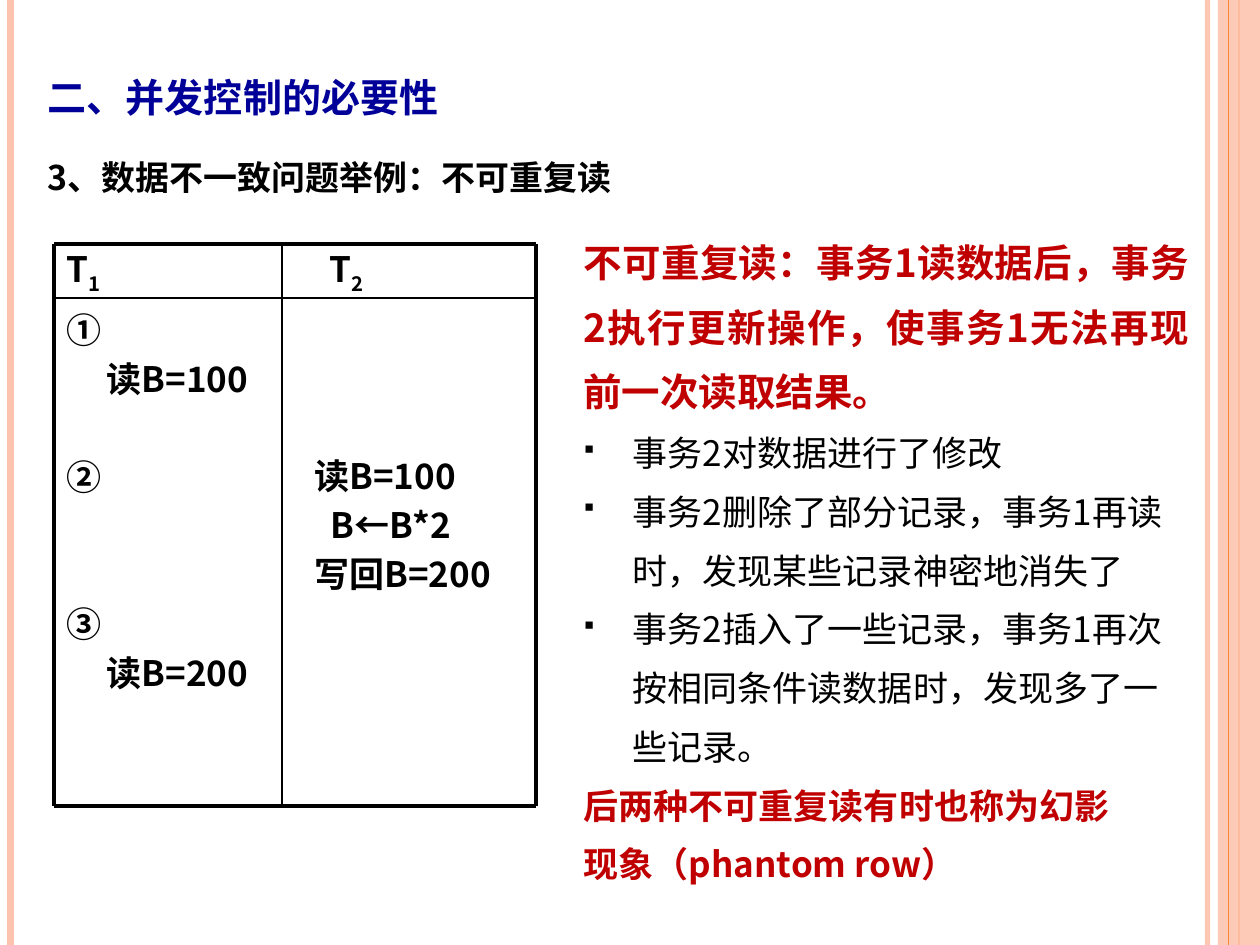
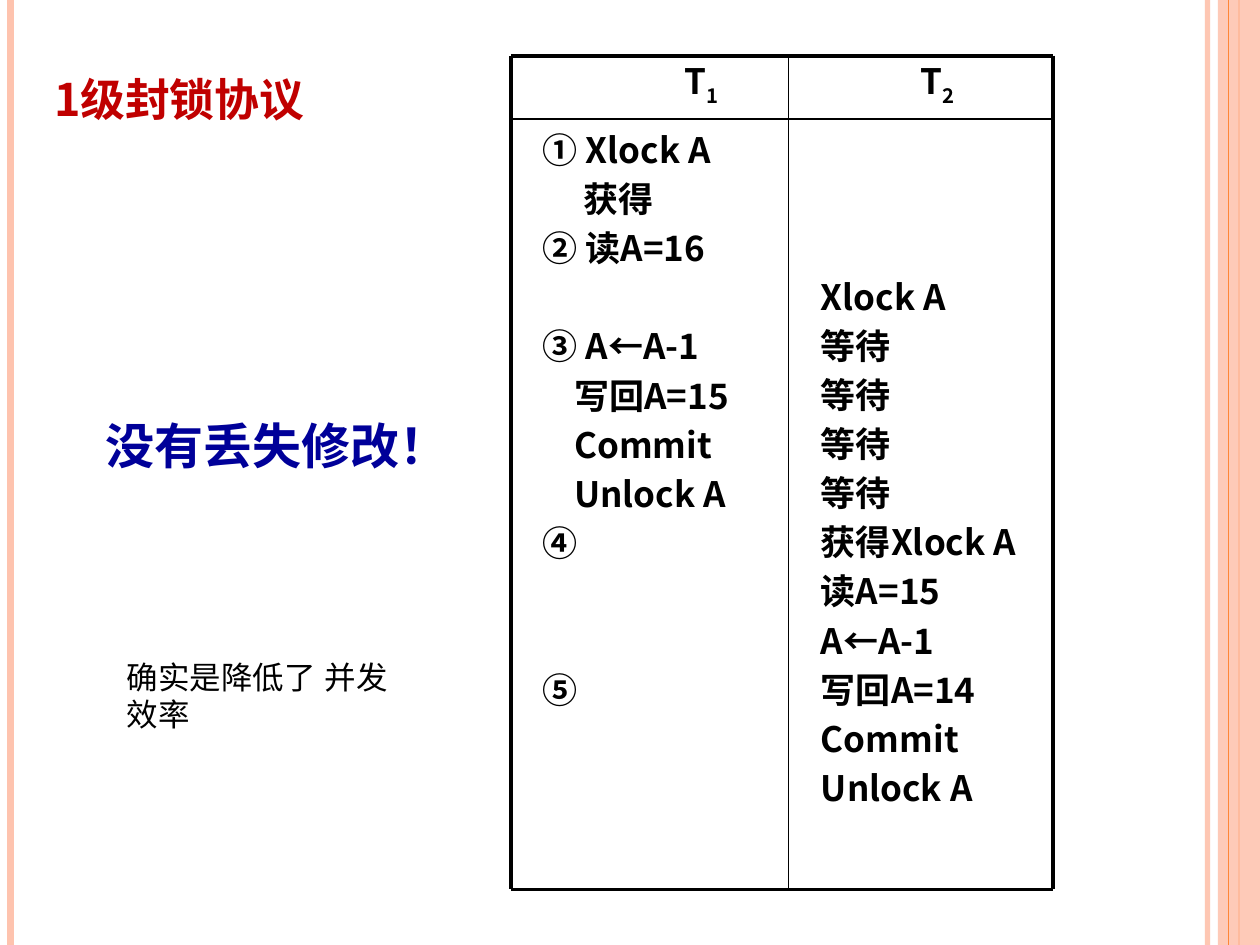
from lxml.etree import SubElement
from pptx import Presentation
from pptx.dml.color import RGBColor
from pptx.enum.shapes import MSO_CONNECTOR, MSO_SHAPE
from pptx.enum.text import MSO_ANCHOR, PP_ALIGN
from pptx.oxml.ns import qn
from pptx.util import Pt

PEACH = RGBColor(0xFE, 0xC3, 0xAE)
ORANGE = RGBColor(0xFE, 0x86, 0x37)
NAVY = RGBColor(0x00, 0x00, 0x99)
RED = RGBColor(0xC0, 0x00, 0x00)
BLACK = RGBColor(0x00, 0x00, 0x00)
CJK_FONT = "Noto Sans CJK SC"

WIDTH, HEIGHT = 720, 540
STEP_HEIGHT = 28
OUTER, INNER = 2.25, 1

READ_STEPS = [
    {0: ("①", 7), 1: ("读B=100", 30), 3: ("②", 7), 6: ("③", 7), 7: ("读B=200", 30)},
    {3: ("读B=100", 18.5), 4: ("B←B*2", 28), 5: ("写回B=200", 18.5)},
]
LOCK_STEPS = [
    {0: ("① Xlock A", 18), 1: ("获得", 41), 2: ("② 读A=16", 18), 4: ("③ A←A-1", 18),
     5: ("写回A=15", 36), 6: ("Commit", 36), 7: ("Unlock A", 36), 8: ("④", 18), 11: ("⑤", 18)},
    {step: (text, 18.5) for step, text in enumerate(
        ["Xlock A", "等待", "等待", "等待", "等待", "获得Xlock A", "读A=15", "A←A-1",
         "写回A=14", "Commit", "Unlock A"], 3)},
]
CHANGE_CASES = [
    "事务2对数据进行了修改",
    "事务2删除了部分记录，事务1再读时，发现某些记录神密地消失了",
    "事务2插入了一些记录，事务1再次按相同条件读数据时，发现多了一些记录。",
]


def style_run(run, size, color, bold=True, name=CJK_FONT, small_caps=False):
    """Set the size, colour and typeface of a run."""
    font = run.font
    font.size, font.bold, font.name = Pt(size), bold, name
    font.color.rgb = color
    properties = run._r.get_or_add_rPr()
    SubElement(properties, qn("a:ea")).set("typeface", name)
    if small_caps:
        properties.set("cap", "small")


def set_alpha(properties, percent):
    """Make the first solid colour of a shape partly transparent."""
    color = properties.find(".//" + qn("a:srgbClr"))
    SubElement(color, qn("a:alpha")).set("val", str(percent * 1000))


def add_text(slide, box, anchor=MSO_ANCHOR.TOP, wrap=True):
    """Add an empty text box and return its frame."""
    frame = slide.shapes.add_textbox(*map(Pt, box)).text_frame
    frame.word_wrap, frame.vertical_anchor = wrap, anchor
    return frame


def add_rule(slide, start, end, color, weight, alpha=100):
    """Draw a straight line between two points."""
    rule = slide.shapes.add_connector(MSO_CONNECTOR.STRAIGHT, *map(Pt, (*start, *end)))
    rule.line.color.rgb, rule.line.width = color, Pt(weight)
    properties = rule._element.spPr
    SubElement(properties, qn("a:effectLst"))
    if alpha < 100:
        set_alpha(properties, alpha)


def add_stripe(slide, x, color, weight, alpha=100):
    """Draw a full-height vertical line."""
    add_rule(slide, (x, 0), (x, HEIGHT), color, weight, alpha)


def add_side_bands(slide):
    """Draw the bands on both edges of every slide."""
    add_stripe(slide, 690, PEACH, 3, 93)
    add_stripe(slide, 6, PEACH, 4.5)
    add_stripe(slide, 708, ORANGE, 1.5)
    band = slide.shapes.add_shape(MSO_SHAPE.RECTANGLE, Pt(696), 0, Pt(WIDTH - 696), Pt(HEIGHT))
    band.shadow.inherit = False
    band.fill.solid()
    band.fill.fore_color.rgb = PEACH
    band.line.fill.background()
    set_alpha(band._element.spPr, 87)
    add_stripe(slide, 702, ORANGE, 0.75)


def add_title(slide, box, lines, line_spacing=1.0):
    """Write a title whose lines each have a size and colour."""
    paragraph = add_text(slide, box, MSO_ANCHOR.MIDDLE).paragraphs[0]
    paragraph.text = "\v".join(text for text, _, _ in lines)
    paragraph.line_spacing = line_spacing
    for run, (_, size, color) in zip(paragraph.runs, lines):
        style_run(run, size, color, small_caps=True)


def add_steps(slide, box, steps):
    """Write the steps of one transaction, each on its own line of the schedule."""
    left, top, width, height = box
    lead = min(steps) * STEP_HEIGHT
    frame = add_text(slide, (left, top + lead, width, height - lead))
    frame.margin_left = frame.margin_right = frame.margin_bottom = 0
    frame.margin_top = Pt(1.5)
    frame.text = "\n".join(text for text, _ in steps.values())
    previous = min(steps) - 1
    for paragraph, (step, (_, offset)) in zip(frame.paragraphs, steps.items()):
        paragraph._p.get_or_add_pPr().set("marL", str(Pt(offset)))
        paragraph.line_spacing = Pt(STEP_HEIGHT)
        paragraph.space_before = Pt(STEP_HEIGHT * (step - previous - 1))
        style_run(paragraph.runs[0], 20, BLACK)
        previous = step
    return frame


def add_schedule(slide, box, split, header_height, header_offsets, steps):
    """Draw the timetable of the transactions T1 and T2."""
    left, top, width, height = box
    right, bottom, body_top = left + width, top + height, top + header_height
    columns = [(left, split), (left + split, width - split)]
    for number, ((x, span), offset) in enumerate(zip(columns, header_offsets)):
        add_steps(slide, (x, body_top, span, bottom - body_top), steps[number])
        header = add_steps(slide, (x, top, span, header_height), {0: ("T", offset)})
        index = header.paragraphs[0].add_run()
        index.text = str(number + 1)
        style_run(index, 20, BLACK)
        index.font._element.set("baseline", "-25000")
    for y, weight in ((top, OUTER), (body_top, INNER), (bottom, OUTER)):
        add_rule(slide, (left, y), (right, y), BLACK, weight)
    for x, weight in ((left, OUTER), (left + split, INNER), (right, OUTER)):
        add_rule(slide, (x, top), (x, bottom), BLACK, weight)


def add_square_bullet(paragraph):
    """Give a paragraph a hanging black square."""
    properties = paragraph._p.get_or_add_pPr()
    properties.set("marL", str(Pt(28)))
    properties.set("indent", str(-Pt(28)))
    color = SubElement(properties, qn("a:buClr"))
    SubElement(color, qn("a:srgbClr")).set("val", str(BLACK))
    SubElement(properties, qn("a:buSzPct")).set("val", "70000")
    SubElement(properties, qn("a:buFont")).set("typeface", "Wingdings")
    SubElement(properties, qn("a:buChar")).set("char", "§")


def add_explanation(slide, box):
    """Explain the non-repeatable read and its three cases."""
    frame = add_text(slide, box)
    definition = "不可重复读：事务1读数据后，事务2执行更新操作，使事务1无法再现前一次读取结果。"
    phantom = ["后两种不可重复读有时也称为幻影", "现象（phantom row）"]
    frame.text = "\n".join([definition, *CHANGE_CASES, *phantom])
    for index, paragraph in enumerate(frame.paragraphs):
        paragraph.line_spacing = 1.4
        is_case = 1 <= index <= len(CHANGE_CASES)
        if is_case:
            add_square_bullet(paragraph)
        size = 20 if index else 22
        style_run(paragraph.runs[0], size, BLACK if is_case else RED, bold=not is_case)
    frame.paragraphs[0].alignment = PP_ALIGN.JUSTIFY


def add_remark(slide, box, text, size, color, bold, name, centred=False):
    """Write a short remark beside the schedule."""
    frame = add_text(slide, box, MSO_ANCHOR.MIDDLE if centred else MSO_ANCHOR.TOP, not centred)
    paragraph = frame.paragraphs[0]
    paragraph.text = text
    paragraph.alignment = PP_ALIGN.CENTER if centred else PP_ALIGN.LEFT
    style_run(paragraph.runs[0], size, color, bold, name)


def build_repeatable_read(slide):
    """Build the slide on the non-repeatable read."""
    add_side_bands(slide)
    add_explanation(slide, (326.4, 122.6, 360, 408))
    add_schedule(slide, (31, 139.5, 275.5, 321.3), 130, 31, (7, 27.5), READ_STEPS)
    heading = [("二、并发控制的必要性", 27.9, NAVY),
               ("3、数据不一致问题举例：不可重复读", 24.3, BLACK)]
    add_title(slide, (20.2, 21.6, 663, 90), heading, 1.5)


def build_lock_protocol(slide):
    """Build the slide on the level 1 locking protocol."""
    add_side_bands(slide)
    add_schedule(slide, (292.2, 31.8, 309.6, 476.5), 158.4, 36.4, (99, 75.5), LOCK_STEPS)
    add_remark(slide, (42.3, 230.4, 204, 48), "没有丢失修改！", 28, NAVY, True, CJK_FONT, centred=True)
    add_title(slide, (23.8, 23.8, 381, 60), [("1级封锁协议", 32, RED)])
    add_remark(slide, (65.5, 372.2, 175.7, 51), "确实是降低了 并发效率", 18, BLACK, False, "Arial")


def main():
    """Build and save the slides."""
    deck = Presentation()
    deck.slide_width, deck.slide_height = Pt(WIDTH), Pt(HEIGHT)
    for build in (build_repeatable_read, build_lock_protocol):
        build(deck.slides.add_slide(deck.slide_layouts[6]))
    deck.save("out.pptx")


if __name__ == "__main__":
    main()
